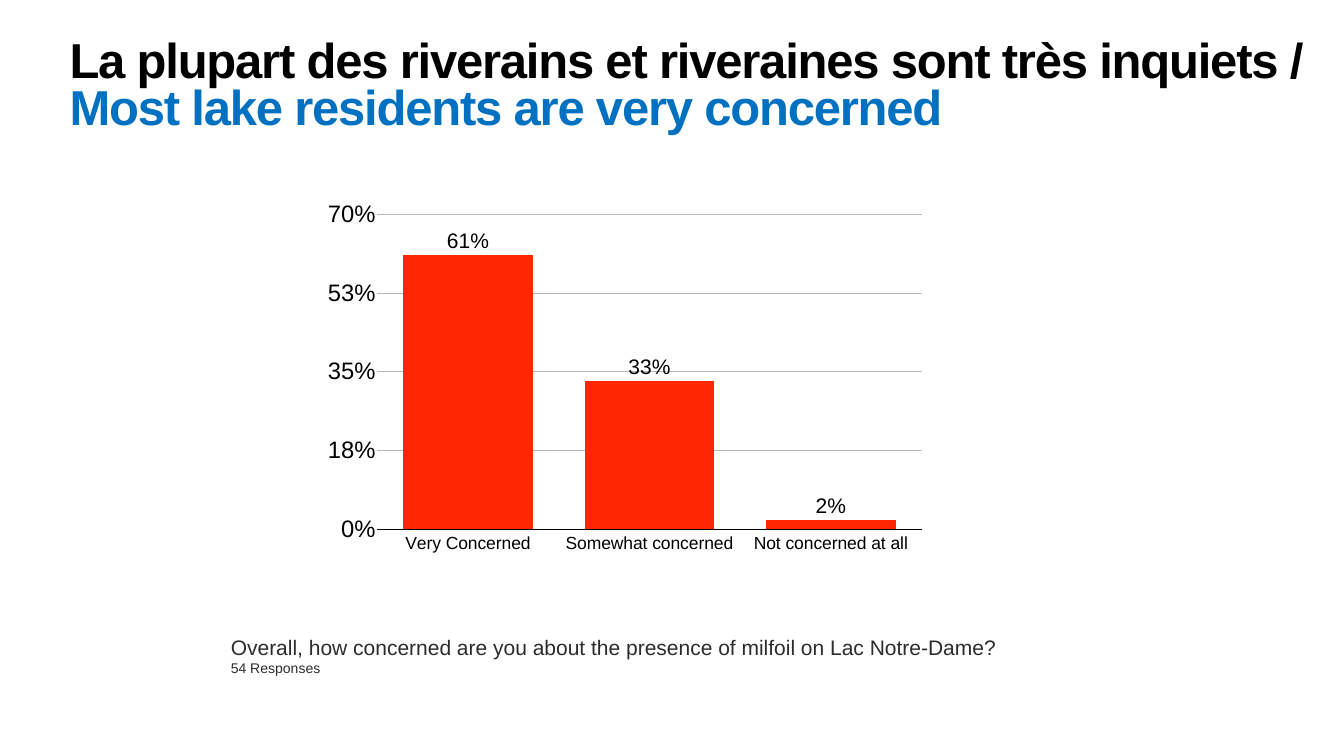
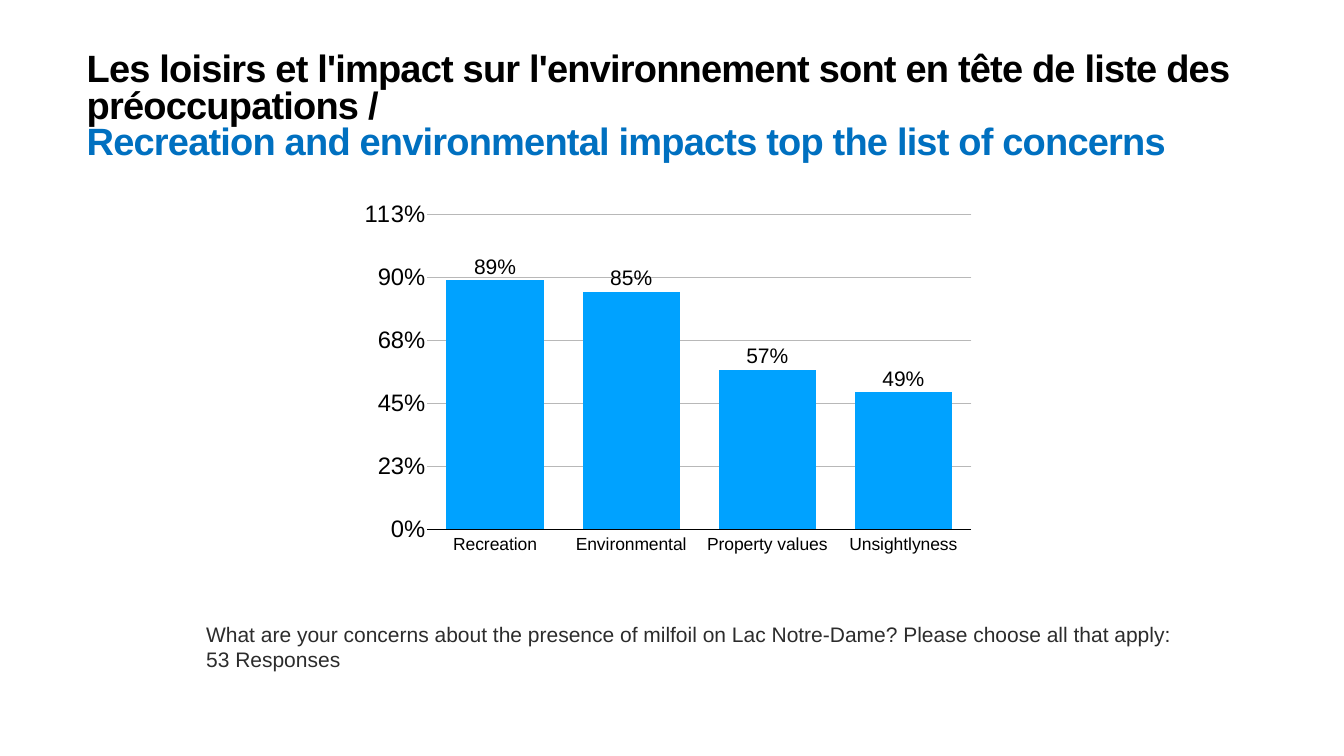
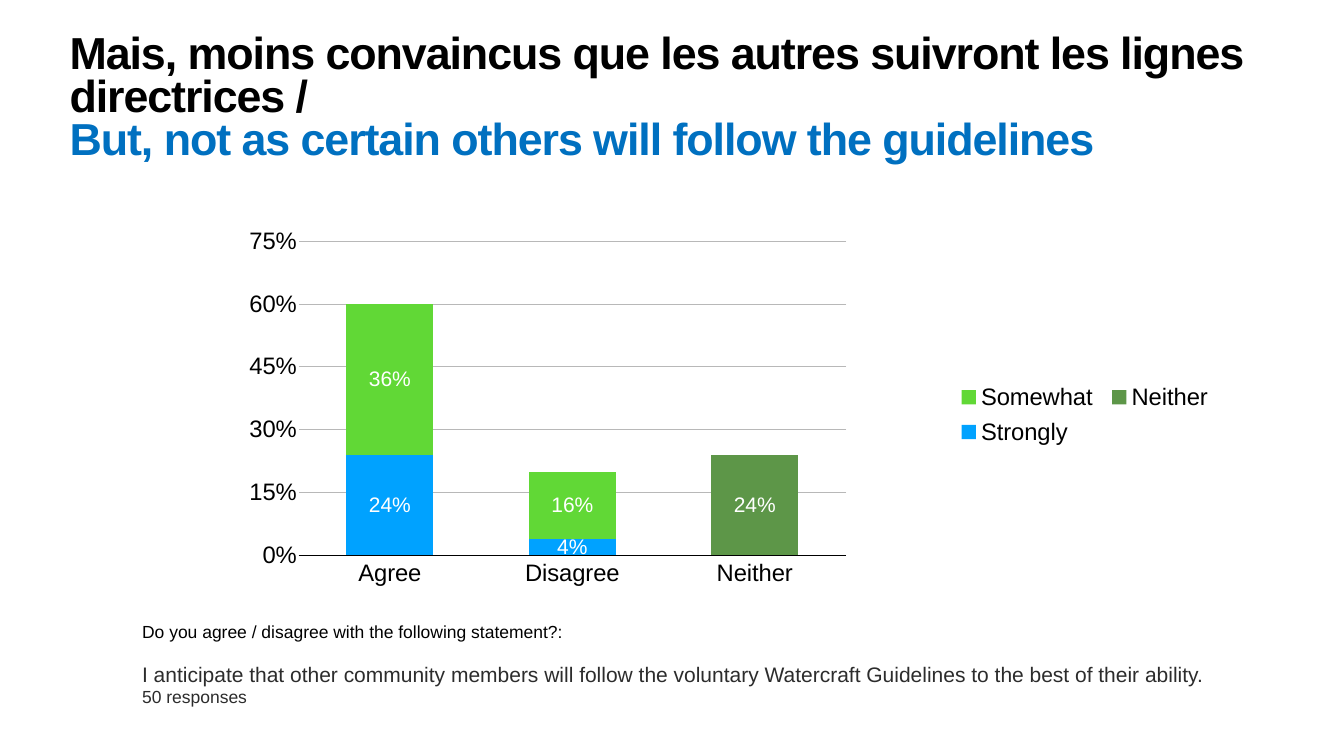
import pptx
import pptx.chart.data
import pptx.dml.color
import pptx.enum.chart
import pptx.enum.text
import pptx.oxml
import pptx.oxml.ns
import pptx.util
from pptx.util import Inches

FONT = "Arial"
BLACK, WHITE, BLUE, GREY, GRID = "000000", "FFFFFF", "0070C0", "2C2C2C", "B8B8B8"
INSET = 0.06
CLUSTERED = {"type": "COLUMN_CLUSTERED", "gap": 40, "overlap": -10,
             "label_position": "OUTSIDE_END", "label_color": BLACK, "category_size": 25}
STACKED = {"type": "COLUMN_STACKED", "gap": 110, "overlap": 100,
           "label_position": "CENTER", "label_color": WHITE, "category_size": 34}

SLIDES = [
    {
        "title": ("La plupart des riverains et riveraines sont très inquiets /",
                  "Most lake residents are very concerned"),
        "title_box": (1.32, 0.76, 24.72, 2.14), "title_size": 70, "title_spacing": -170,
        "style": CLUSTERED, "chart_box": (6.13, 3.84, 12.22, 7.33),
        "plot_box": (0.111, 0.056, 0.884, 0.852), "maximum": 0.7, "step": 0.175,
        "categories": ["Very Concerned", "Somewhat concerned", "Not concerned at all"],
        "series": [("Series 1", (0.61, 0.33, 0.02), "FF2600")],
        "caption_box": (4.52, 12.37, 15.43, 1.09), "caption_top": 0.25, "caption_wrap": False,
        "caption": [
            ("Overall, how concerned are you about the presence of milfoil on Lac Notre-Dame?", 30, GREY, 0),
            ("54 Responses", 20, GREY, 0),
        ],
    },
    {
        "title": ("Les loisirs et l'impact sur l'environnement sont en tête de liste des préoccupations /",
                  "Recreation and environmental impacts top the list of concerns"),
        "title_box": (1.66, 1, 24.49, 2.29), "title_size": 54.3, "title_spacing": -120,
        "style": CLUSTERED, "chart_box": (6.72, 3.82, 12.62, 7.37),
        "plot_box": (0.139, 0.06, 0.856, 0.847), "maximum": 1.125, "step": 0.225,
        "categories": ["Recreation", "Environmental", "Property values", "Unsightlyness"],
        "series": [("Series 1", (0.89, 0.85, 0.57, 0.49), "00A2FF")],
        "caption_box": (4.03, 12.11, 19.28, 1.24), "caption_top": 0.25, "caption_wrap": False,
        "caption": [
            ("What are your concerns about the presence of milfoil on Lac Notre-Dame? "
             "Please choose all that apply:", 30, GREY, 0),
            ("53 Responses", 30, GREY, 0),
        ],
    },
    {
        "title": ("Mais, moins convaincus que les autres suivront les lignes directrices /",
                  "But, not as certain others will follow the guidelines"),
        "title_box": (1.32, 0.64, 24.03, 2.44), "title_size": 64, "title_spacing": -150,
        "style": STACKED, "chart_box": (4.58, 4.24, 19.82, 7.67),
        "plot_box": (0.068, 0.071, 0.548, 0.813), "maximum": 0.75, "step": 0.15,
        "legend_box": (0.72, 0.42, 0.27, 0.2),
        "categories": ["Agree", "Disagree", "Neither"],
        "series": [
            ("Strongly", (0.24, 0.04, None), "00A2FF"),
            ("Neither", (None, None, 0.24), "5D9648"),
            ("Somewhat", (0.36, 0.16, None), "61D836"),
        ],
        "caption_box": (2.76, 12.29, 21.31, 1.77), "caption_top": INSET, "caption_wrap": True,
        "caption": [
            ("Do you agree / disagree with the following statement?:", 25, BLACK, 0),
            ("I anticipate that other community members will follow the voluntary "
             "Watercraft Guidelines to the best of their ability.", 30, GREY, 28),
            ("50 responses", 25, GREY, 0),
        ],
    },
]


def rgb(color):
    return pptx.dml.color.RGBColor.from_string(color)


def set_font(font, size, color, bold=False):
    font.name, font.size, font.bold = FONT, pptx.util.Pt(size), bold
    font.color.rgb = rgb(color)


def set_frame(text_frame, anchor, wrap, top=INSET):
    text_frame.auto_size = pptx.enum.text.MSO_AUTO_SIZE.NONE
    text_frame.word_wrap = wrap
    text_frame.vertical_anchor = anchor
    text_frame.margin_left = text_frame.margin_right = text_frame.margin_bottom = Inches(INSET)
    text_frame.margin_top = Inches(top)


def set_line(line, color):
    line.color.rgb = rgb(color)
    line.width = pptx.util.Pt(1)


def set_layout(parent, box, inner=False):
    for old_layout in parent.findall(pptx.oxml.ns.qn("c:layout")):
        parent.remove(old_layout)
    target = '<c:layoutTarget val="inner"/>' if inner else ""
    modes = "".join(f'<c:{side}Mode val="edge"/>' for side in "xy")
    sizes = "".join(f'<c:{side} val="{value}"/>' for side, value in zip("xywh", box))
    layout = pptx.oxml.parse_xml(
        f'<c:layout {pptx.oxml.ns.nsdecls("c")}><c:manualLayout>{target}{modes}{sizes}'
        "</c:manualLayout></c:layout>")
    parent.insert(0 if inner else 1, layout)


def add_title(slide, content):
    title = slide.shapes.title
    title.left, title.top, title.width, title.height = map(Inches, content["title_box"])
    set_frame(title.text_frame, pptx.enum.text.MSO_ANCHOR.TOP, True)
    paragraph = title.text_frame.paragraphs[0]
    paragraph.alignment = pptx.enum.text.PP_ALIGN.LEFT
    paragraph.line_spacing = 0.8
    french, english = content["title"]
    for text, color in ((french, BLACK), (english, BLUE)):
        if text == english:
            paragraph.add_line_break()
        run = paragraph.add_run()
        run.text = text
        set_font(run.font, content["title_size"], color, True)
        run.font._element.set("spc", str(content["title_spacing"]))


def add_survey_chart(slide, content):
    style = content["style"]
    data = pptx.chart.data.CategoryChartData(number_format="#,##0%")
    data.categories = content["categories"]
    for name, values, color in content["series"]:
        data.add_series(name, values)
    chart_type = getattr(pptx.enum.chart.XL_CHART_TYPE, style["type"])
    chart = slide.shapes.add_chart(chart_type, *map(Inches, content["chart_box"]), data).chart
    set_font(chart.font, 10, BLACK)
    chart.has_title = False
    plot = chart.plots[0]
    plot.gap_width, plot.overlap = style["gap"], style["overlap"]
    plot.vary_by_categories = False
    set_layout(plot._element.getparent(), content["plot_box"], inner=True)
    for series, (name, values, color) in zip(plot.series, content["series"]):
        series.invert_if_negative = False
        series.format.fill.solid()
        series.format.fill.fore_color.rgb = rgb(color)
        labels = series.data_labels
        labels.show_value = True
        labels.number_format, labels.number_format_is_linked = "#,##0%", False
        labels.position = getattr(pptx.enum.chart.XL_LABEL_POSITION, style["label_position"])
        set_font(labels.font, 30, style["label_color"])
    add_axes(chart, content)
    chart.has_legend = "legend_box" in content
    if chart.has_legend:
        legend = chart.legend
        legend.position = pptx.enum.chart.XL_LEGEND_POSITION.RIGHT
        legend.include_in_layout = True
        set_font(legend.font, 34, BLACK)
        set_layout(legend._element, content["legend_box"])


def add_axes(chart, content):
    category_axis, value_axis = chart.category_axis, chart.value_axis
    for axis, size in ((category_axis, content["style"]["category_size"]), (value_axis, 34)):
        axis.major_tick_mark = axis.minor_tick_mark = pptx.enum.chart.XL_TICK_MARK.NONE
        set_font(axis.tick_labels.font, size, BLACK)
    category_axis.tick_label_position = pptx.enum.chart.XL_TICK_LABEL_POSITION.LOW
    set_line(category_axis.format.line, BLACK)
    value_axis.minimum_scale, value_axis.maximum_scale = 0, content["maximum"]
    value_axis.major_unit = content["step"]
    value_axis.tick_labels.number_format = "#,##0%"
    value_axis.tick_labels.number_format_is_linked = False
    value_axis.format.line.fill.background()
    set_line(value_axis.major_gridlines.format.line, GRID)


def add_caption(slide, content):
    text_frame = slide.shapes.add_textbox(*map(Inches, content["caption_box"])).text_frame
    set_frame(text_frame, pptx.enum.text.MSO_ANCHOR.MIDDLE,
              content["caption_wrap"], content["caption_top"])
    for index, (text, size, color, space) in enumerate(content["caption"]):
        paragraph = text_frame.add_paragraph() if index else text_frame.paragraphs[0]
        paragraph.text = text
        paragraph.space_before = pptx.util.Pt(space)
        set_font(paragraph.font, size, color)


def main():
    presentation = pptx.Presentation()
    presentation.slide_width, presentation.slide_height = Inches(26.67), Inches(15)
    for content in SLIDES:
        slide = presentation.slides.add_slide(presentation.slide_layouts[5])
        add_title(slide, content)
        add_survey_chart(slide, content)
        add_caption(slide, content)
    presentation.save("out.pptx")


if __name__ == "__main__":
    main()
